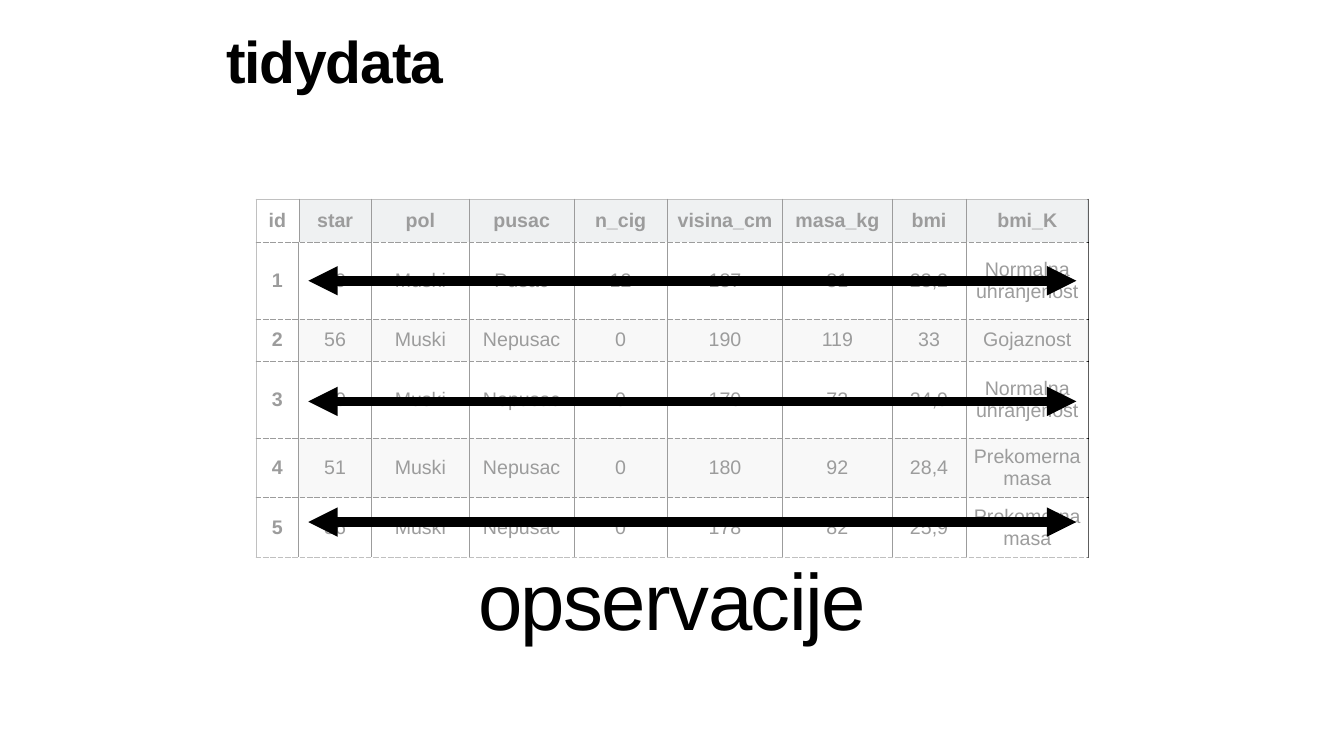
from lxml.etree import SubElement
from pptx import Presentation
from pptx.dml.color import RGBColor
from pptx.enum.shapes import MSO_CONNECTOR, MSO_SHAPE
from pptx.enum.text import MSO_ANCHOR, MSO_AUTO_SIZE, PP_ALIGN
from pptx.oxml import parse_xml
from pptx.oxml.ns import nsdecls, qn
from pptx.util import Cm, Pt

BLACK = RGBColor(0x00, 0x00, 0x00)
WHITE = RGBColor(0xFF, 0xFF, 0xFF)
EDGE = RGBColor(0x5E, 0x5E, 0x5E)
HEAD = RGBColor(0xD6, 0xDC, 0xE0)
BAND = RGBColor(0xED, 0xEE, 0xEE)

COLS = [2.16, 3.66, 4.93, 5.28, 4.7, 5.82, 5.51, 3.73, 6.17]
ROWS = [2.16, 3.89, 2.11, 3.89, 3, 3]
DATA = [
    ["id", "star", "pol", "pusac", "n_cig", "visina_cm", "masa_kg", "bmi", "bmi_K"],
    ["1", "50", "Muski", "Pusac", "12", "187", "81", "23,2", "Normalna uhranjenost"],
    ["2", "56", "Muski", "Nepusac", "0", "190", "119", "33", "Gojaznost"],
    ["3", "60", "Muski", "Nepusac", "0", "170", "72", "24,9", "Normalna uhranjenost"],
    ["4", "51", "Muski", "Nepusac", "0", "180", "92", "28,4", "Prekomerna masa"],
    ["5", "56", "Muski", "Nepusac", "0", "178", "82", "25,9", "Prekomerna masa"],
]


def write(frame, text, size=28, bold=False, align=PP_ALIGN.CENTER,
          anchor=MSO_ANCHOR.MIDDLE, inset=0.2, lead=None, track=None):
    """Put one formatted paragraph into a text frame."""
    frame.vertical_anchor = anchor
    frame.margin_left = frame.margin_right = Cm(inset)
    frame.margin_top = frame.margin_bottom = Cm(inset)
    para = frame.paragraphs[0]
    para.alignment = align
    if lead:
        para.line_spacing = lead
    run = para.add_run()
    run.text = text
    font = run.font
    font.name, font.size, font.bold = "Arial", Pt(size), bold
    font.color.rgb = BLACK
    if track:
        font._element.set("spc", str(round(track * 100)))


def border(cell, side, color, width=1, dash="solid"):
    cell._tc.get_or_add_tcPr().append(parse_xml(
        f'<a:ln{side} {nsdecls("a")} w="{Pt(width)}"><a:solidFill>'
        f'<a:srgbClr val="{color}"/></a:solidFill>'
        f'<a:prstDash val="{dash}"/></a:ln{side}>'))


class Deck:
    def __init__(self, wide, high):
        self.prs = Presentation()
        self.prs.slide_width, self.prs.slide_height = Cm(wide), Cm(high)
        self.slide = self.prs.slides.add_slide(self.prs.slide_layouts[5])
        self.shapes = self.slide.shapes

    def title(self, text, *box):
        name = self.shapes.title
        name.left, name.top, name.width, name.height = map(Cm, box)
        name.text_frame.auto_size = MSO_AUTO_SIZE.NONE
        write(name.text_frame, text, size=84, bold=True, align=PP_ALIGN.LEFT,
              anchor=MSO_ANCHOR.TOP, lead=0.8, track=-1.7)

    def table(self, left, top):
        frame = self.shapes.add_table(
            len(ROWS), len(COLS), Cm(left), Cm(top), Cm(sum(COLS)), Cm(sum(ROWS)))
        table = frame.table
        table.first_row = table.horz_banding = False
        for col, width in zip(table.columns, COLS):
            col.width = Cm(width)
        for row, height in zip(table.rows, ROWS):
            row.height = Cm(height)
        for r, line in enumerate(DATA):
            for c, text in enumerate(line):
                self.cell(table.cell(r, c), r, c, text)

    def cell(self, cell, r, c, text):
        first, last = c == 0, c == len(COLS) - 1
        top, end = r == 0, r == len(ROWS) - 1
        write(cell.text_frame, text, bold=top or first, inset=0.15)
        cell.vertical_anchor = MSO_ANCHOR.MIDDLE
        cell.margin_left = cell.margin_right = Cm(0.15)
        cell.margin_top = cell.margin_bottom = Cm(0.15)
        # Solid uprights, dashed rules between rows
        border(cell, "L", EDGE if first else BLACK, 2 if c == 1 and r else 1)
        border(cell, "R", EDGE if last else BLACK, 2 if first and r else 1)
        border(cell, "T", EDGE if top else BLACK, dash="solid" if top else "dash")
        border(cell, "B", EDGE if end else BLACK, dash="dash")
        cell.fill.solid()
        if first:
            cell.fill.fore_color.rgb = WHITE
        elif top:
            cell.fill.fore_color.rgb = HEAD
        else:
            cell.fill.fore_color.rgb = WHITE if r % 2 else BAND

    def veil(self, *box, alpha):
        rect = self.shapes.add_shape(MSO_SHAPE.RECTANGLE, *map(Cm, box))
        rect.shadow.inherit = False
        rect.line.fill.background()
        rect.fill.solid()
        rect.fill.fore_color.rgb = WHITE
        color = rect._element.spPr.find(qn("a:solidFill"))[0]
        SubElement(color, qn("a:alpha")).set("val", str(alpha * 1000))

    def arrow(self, left, right, y):
        line = self.shapes.add_connector(
            MSO_CONNECTOR.STRAIGHT, Cm(left), Cm(y), Cm(right), Cm(y))
        line.line.color.rgb = BLACK
        line.line.width = Pt(14)
        pen = line.line._get_or_add_ln()
        for end in ("a:headEnd", "a:tailEnd"):
            SubElement(pen, qn(end)).set("type", "triangle")
        SubElement(line._element.spPr, qn("a:effectLst"))

    def label(self, text, *box):
        frame = self.shapes.add_textbox(*map(Cm, box)).text_frame
        frame.word_wrap = False
        frame.auto_size = MSO_AUTO_SIZE.SHAPE_TO_FIT_TEXT
        write(frame, text, size=114, lead=0.8, track=-2.3)


def main():
    deck = Deck(67.74, 38.1)
    deck.title("tidydata", 11.2, 1.73, 45.34, 3.96)

    # Data table, faded by a white veil
    deck.table(12.9, 10.03)
    deck.veil(12.9, 9.93, 41.91, 18.21, alpha=61)

    # One arrow for every other observation
    for i in range(3):
        deck.arrow(15.54, 54.25, 14.15 + 6.08 * i)
    deck.label("opservacije", 23.44, 28.04, 20.85, 5.18)

    deck.prs.save("out.pptx")


if __name__ == "__main__":
    main()
